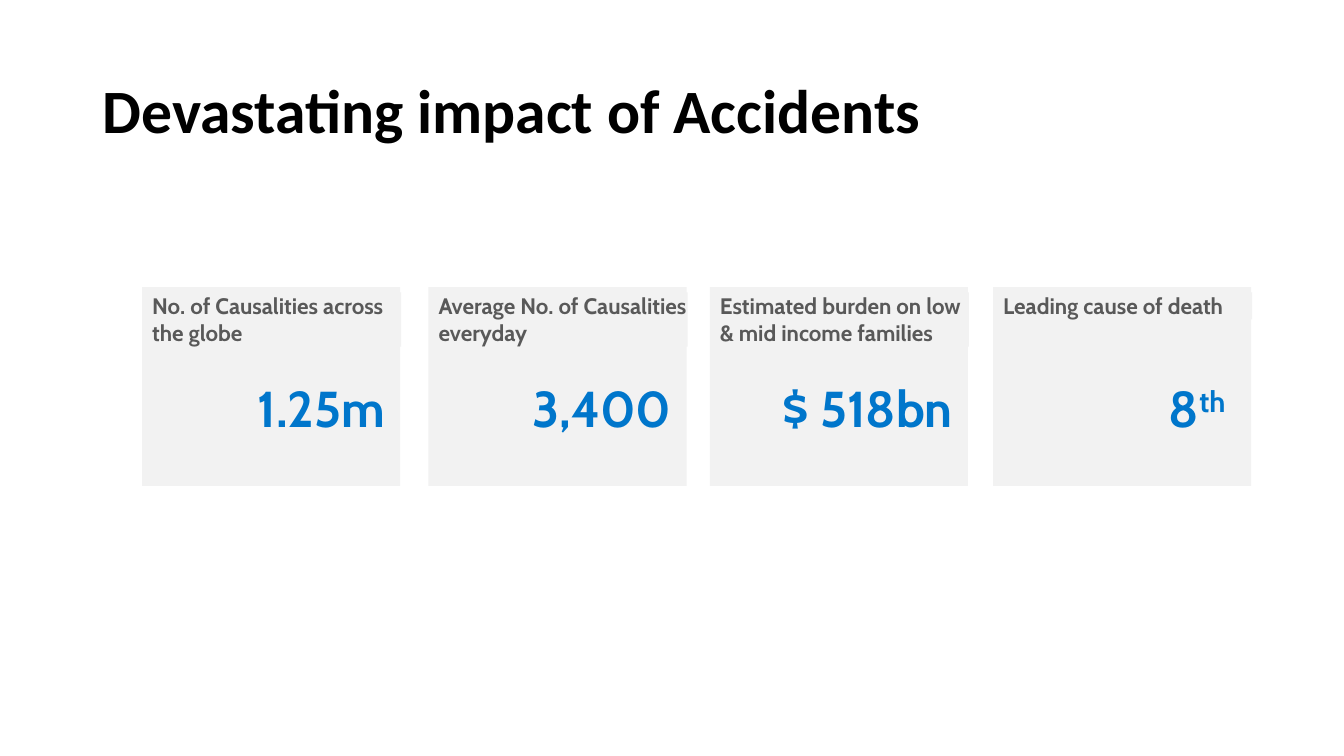
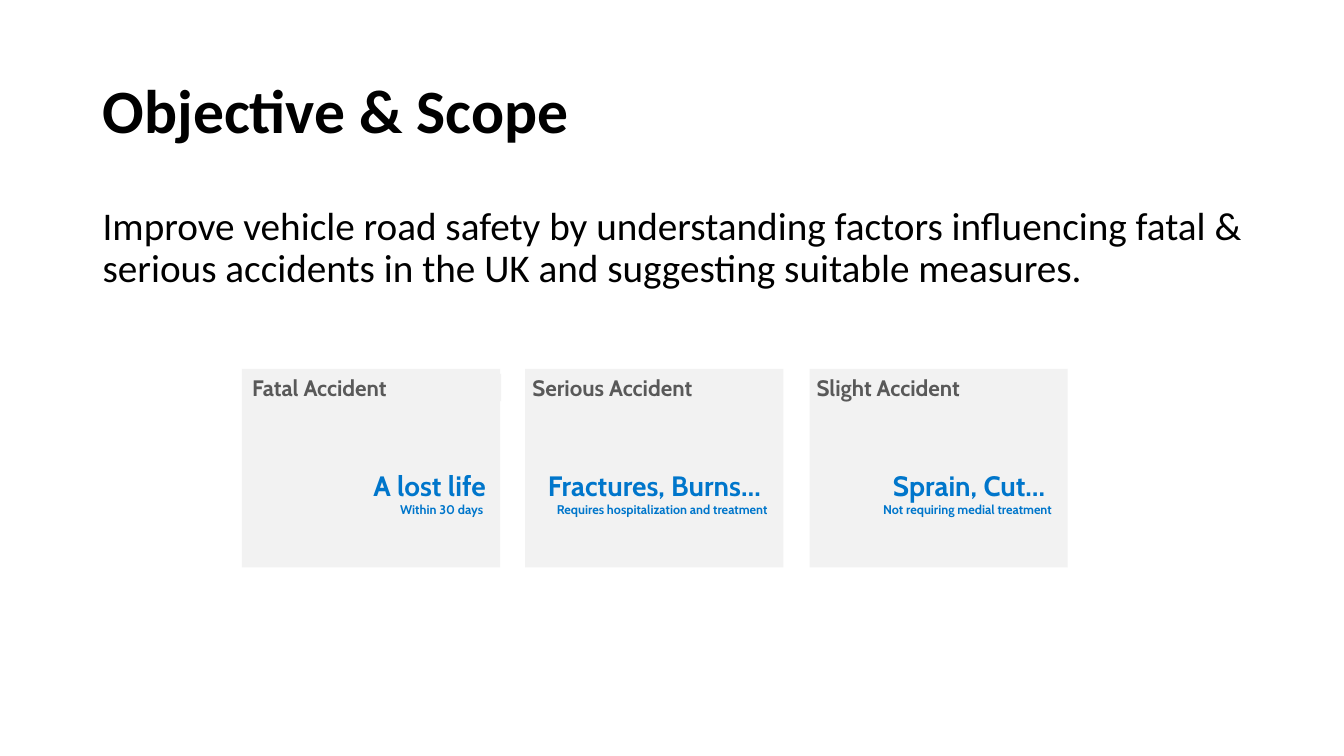
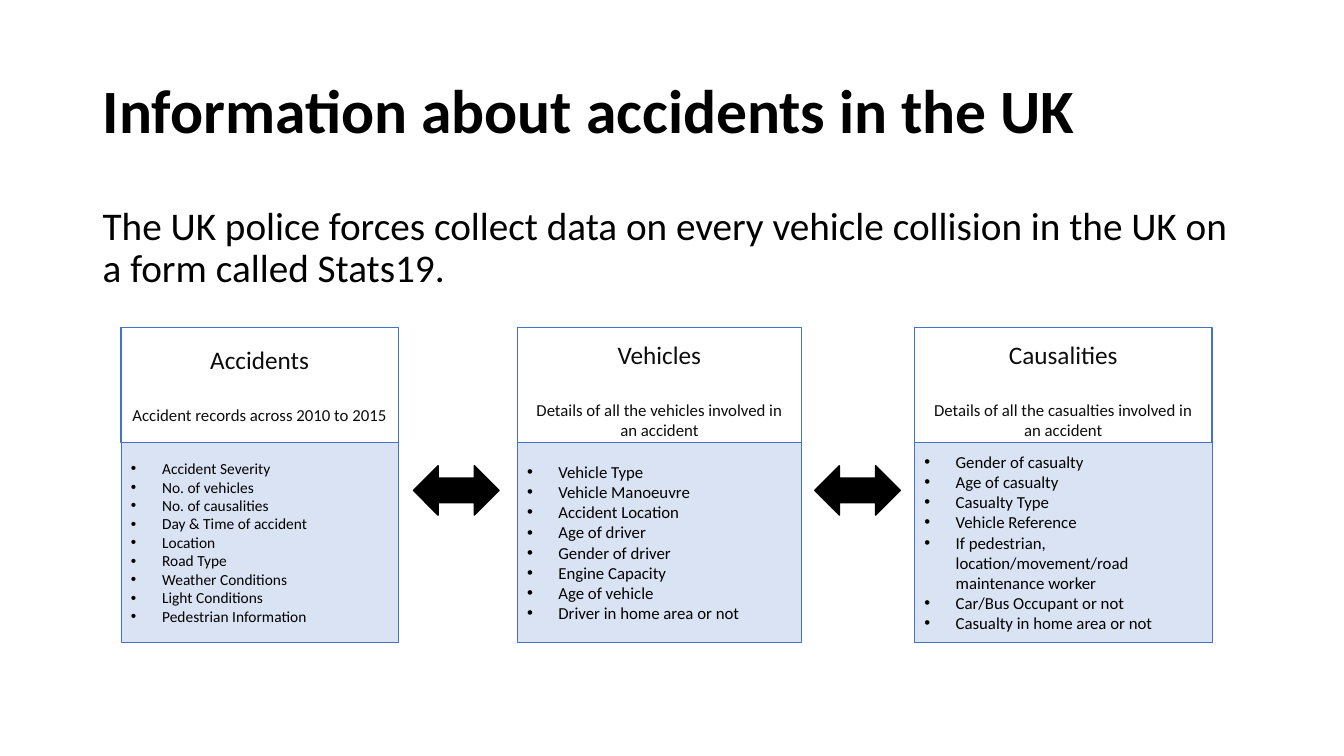
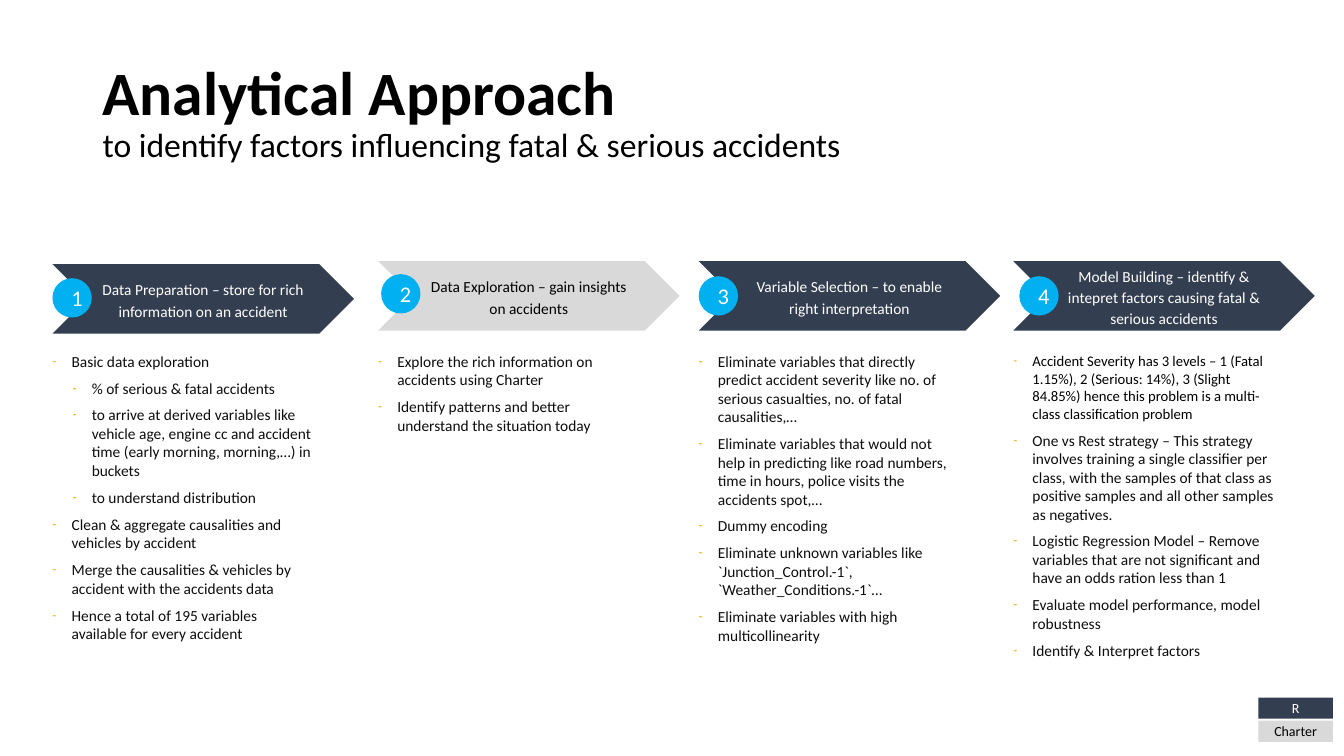
from dataclasses import dataclass

from lxml import etree
from pptx import Presentation
from pptx import util as u
from pptx.dml.color import RGBColor
from pptx.enum import shapes, text
from pptx.oxml.ns import qn


@dataclass(frozen=True)
class Theme:
    font: str = "Calibri"
    cardfont: str = "Cabin"
    markfont: str = "Arial"
    black: str = "000000"
    white: str = "FFFFFF"
    ink: str = "0D0D0D"
    card: str = "F2F2F2"
    label: str = "595959"
    blue: str = "0076CB"
    edge: str = "4472C4"
    pale: str = "DAE3F3"
    navy: str = "333F50"
    grey: str = "D9D9D9"
    dot: str = "00B0F0"
    gold: str = "F0AB00"
    head: int = 44
    sub: int = 24
    body: int = 28
    value: int = 36
    mid: int = 20
    name: int = 18
    caption: int = 16
    note: int = 12
    small: int = 11
    lead: float = 10.5
    tag: int = 10
    tiny: int = 9


th = Theme()
kind = shapes.MSO_SHAPE
mid = text.MSO_ANCHOR.MIDDLE
left, center, right = text.PP_ALIGN.LEFT, text.PP_ALIGN.CENTER, text.PP_ALIGN.RIGHT


def box(page, at, lines=(), size=th.small, ink=th.black, fill=None, edge=None,
        wide=1, form=kind.RECTANGLE, font=th.font, bold=False, align=left,
        anchor=text.MSO_ANCHOR.TOP, pad=(0, 0), lead=1.0, gap=0):
    at = [u.Inches(n) for n in at]
    if fill:
        shape = page.shapes.add_shape(form, *at)
        shape.shadow.inherit = False
        shape.fill.solid()
        shape.fill.fore_color.rgb = RGBColor.from_string(fill)
        if edge:
            shape.line.color.rgb = RGBColor.from_string(edge)
            shape.line.width = u.Pt(wide)
        else:
            shape.line.fill.background()
    else:
        shape = page.shapes.add_textbox(*at)
    frame = shape.text_frame
    frame.word_wrap = True
    frame.vertical_anchor = anchor
    frame.margin_left = frame.margin_right = u.Inches(pad[0])
    frame.margin_top = frame.margin_bottom = u.Inches(pad[1])
    frame.text = "\n".join(lines)
    for i, par in enumerate(frame.paragraphs):
        par.alignment = align
        par.line_spacing = lead
        if i and gap:
            par.space_before = u.Pt(gap)
        for run in par.runs:
            run.font.name = font
            run.font.size = u.Pt(size)
            run.font.bold = bold
            run.font.color.rgb = RGBColor.from_string(ink)
    return frame


def bullet(par, mark, indent, hang, tint=None):
    props = par._p.get_or_add_pPr()
    props.set("marL", str(u.Inches(indent)))
    props.set("indent", str(-u.Inches(hang)))
    if tint:
        color = etree.SubElement(props, qn("a:buClr"))
        etree.SubElement(color, qn("a:srgbClr")).set("val", tint)
        etree.SubElement(props, qn("a:buSzPct")).set("val", "80000")
    etree.SubElement(props, qn("a:buFont")).set("typeface", th.markfont)
    etree.SubElement(props, qn("a:buChar")).set("char", mark)


deck = Presentation()
deck.slide_width = u.Inches(13.33)
deck.slide_height = u.Inches(7.5)

titles = [
    ("Devastating impact of Accidents", None),
    ("Objective & Scope",
     "Improve vehicle road safety by understanding factors influencing fatal & "
     "serious accidents in the UK and suggesting suitable measures."),
    ("Information about accidents in the UK",
     "The UK police forces collect data on every vehicle collision in the UK on "
     "a form called Stats19."),
    ("Analytical Approach\vto identify factors influencing fatal & serious accidents", None),
]
pages = []
for title, intro in titles:
    page = deck.slides.add_slide(deck.slide_layouts[6])
    pages.append(page)
    head = box(page, (0.92, 0.4, 11.5, 1.45), [title], th.head, bold=True,
               anchor=mid, pad=(0.1, 0.05), lead=0.9)
    for run in head.paragraphs[0].runs[1:]:
        run.font.size = u.Pt(th.sub)
        run.font.bold = False
    if intro:
        box(page, (0.92, 2, 11.5, 1.1), [intro], th.body, pad=(0.1, 0.05), lead=0.9)

impact, scope, data, steps = pages

cards = [
    (impact, 1.41, 2.85, 0.1, 0.1, 0.54, "No. of Causalities across the globe", "1.25m", None),
    (impact, 4.25, 2.85, 0.1, 0.1, 0.54, "Average No. of Causalities everyday", "3,400", None),
    (impact, 7.04, 2.85, 0.1, 0.1, 0.54, "Estimated burden on low & mid income families",
     "$ 518bn", None),
    (impact, 9.85, 2.85, 0.1, 0.1, 0.27, "Leading cause of death", "8", None),
    (scope, 2.4, 3.66, 0.1, 0.11, 0.27, "Fatal Accident", "A lost life", "Within 30 days "),
    (scope, 5.21, 3.66, 0.07, 0.09, 0.27, "Serious Accident", "Fractures, Burns… ",
     "Requires hospitalization and treatment"),
    (scope, 8.03, 3.66, 0.07, 0.09, 0.27, "Slight Accident", "Sprain, Cut… ",
     "Not requiring medial treatment"),
]
for page, x, y, inset, shift, tall, label, value, note in cards:
    box(page, (x, y, 2.56, 1.97), fill=th.card)
    box(page, (x + inset, y + 0.05, 2.47, tall), [label], th.caption, th.label, th.card,
        font=th.cardfont, bold=True)
    if note:
        fact = box(page, (x + shift, y + 0.99, 2.31, 0.49), [value, note], th.mid, th.blue,
                   th.card, font=th.cardfont, bold=True, align=right)
        fact.paragraphs[1].runs[0].font.size = u.Pt(th.tiny)
    else:
        fact = box(page, (x + shift, y + 0.89, 2.31, 0.61), [value], th.value, th.blue,
                   th.card, font=th.cardfont, bold=True, align=right)
    if value == "8":
        fact.margin_right = u.Inches(0.04)
        power = fact.paragraphs[0].add_run()
        power.text = "th "
        power.font.name = th.cardfont
        power.font.size = u.Pt(th.value)
        power.font.bold = True
        power.font.color.rgb = RGBColor.from_string(th.blue)
        power.font._element.set("baseline", "30000")

tables = [
    (1.2, 2.75, 0.17, th.small, "Accidents", "Accident records across 2010 to 2015",
     ["Accident Severity", "No. of vehicles", "No. of causalities",
      "Day & Time of accident", "Location", "Road Type", "Weather Conditions",
      "Light Conditions", "Pedestrian Information"]),
    (5.13, 2.82, 0.12, th.note, "Vehicles",
     "Details of all the vehicles involved in an accident",
     ["Vehicle Type", "Vehicle Manoeuvre", "Accident Location", "Age of driver",
      "Gender of driver", "Engine Capacity", "Age of vehicle",
      "Driver in home area or not"]),
    (9.07, 2.95, 0.12, th.note, "Causalities",
     "Details of all the casualties involved in an accident",
     ["Gender of casualty", "Age of casualty", "Casualty Type", "Vehicle Reference",
      "If pedestrian, location/movement/road maintenance worker",
      "Car/Bus Occupant or not", "Casualty in home area or not"]),
]
for x, width, top, size, name, note, fields in tables:
    head = box(data, (x, 3.25, width, 1.14), [name, note], th.name, th.ink, th.white,
               th.edge, align=center, pad=(0.1, 0), gap=21)
    head.margin_top = u.Inches(top)
    head.paragraphs[1].runs[0].font.size = u.Pt(th.note)
    items = box(data, (x, 4.39, width, 1.98), fields, size, fill=th.pale, edge=th.edge,
                wide=0.5, anchor=mid, pad=(0.1, 0.05))
    for par in items.paragraphs:
        bullet(par, "•", 0.31, 0.31)
for x in (4.1, 8.08):
    box(data, (x, 4.62, 0.85, 0.49), fill=th.black, edge=th.black,
        form=kind.LEFT_RIGHT_ARROW)

stages = [
    (0.52, 2.62, 0.52, 2.76, th.navy, th.white,
     "Data Preparation – store for rich information on an accident", (1, 2, 3),
     ["Basic data exploration",
      "% of serious & fatal accidents",
      "to arrive at derived variables like vehicle age, engine cc and accident time "
      "(early morning, morning,…) in buckets",
      "to understand distribution",
      "Clean & aggregate causalities and vehicles by accident",
      "Merge the causalities & vehicles by accident with the accidents data",
      "Hence a total of 195 variables available for every accident"]),
    (3.75, 2.59, 3.78, 2.72, th.grey, th.black,
     "Data Exploration – gain insights on accidents", (),
     ["Explore the rich information on accidents using Charter",
      "Identify patterns and better understand the situation today"]),
    (6.93, 2.59, 6.93, 2.74, th.navy, th.white,
     "Variable Selection – to enable right interpretation", (),
     ["Eliminate variables that directly predict accident severity like no. of "
      "serious casualties, no. of fatal causalities,…",
      "Eliminate variables that would not help in predicting like road numbers, "
      "time in hours, police visits the accidents spot,…",
      "Dummy encoding",
      "Eliminate unknown variables like `Junction_Control.-1`, `Weather_Conditions.-1`…",
      "Eliminate variables with high multicollinearity"]),
    (10.05, 2.59, 10.11, 2.74, th.navy, th.white,
     "Model Building – identify & intepret factors causing fatal & serious accidents", (),
     ["Accident Severity has 3 levels – 1 (Fatal 1.15%), 2 (Serious: 14%), 3 (Slight "
      "84.85%) hence this problem is a multi-class classification problem",
      "One vs Rest strategy – This strategy involves training a single classifier per "
      "class, with the samples of that class as positive samples and all other samples "
      "as negatives.",
      "Logistic Regression Model – Remove variables that are not significant and have "
      "an odds ration less than 1",
      "Evaluate model performance, model robustness",
      "Identify & Interpret factors"]),
]
for num, (x, y, cx, cy, fill, ink, name, deep, tasks) in enumerate(stages, 1):
    box(steps, (x, y, 2.99, 0.69), [name], th.small, ink, fill, form=kind.CHEVRON,
        align=center, anchor=mid, pad=(0.13, 0.11), lead=1.15)
    box(steps, (cx, cy, 0.39, 0.39), [str(num)], th.caption, th.white, th.dot,
        form=kind.OVAL, align=center, anchor=mid, pad=(0.13, 0.11))
    items = box(steps, (x, 3.49, 2.59, 3), tasks, th.small, th.ink, gap=6)
    for i, par in enumerate(items.paragraphs):
        bullet(par, "-", 0.39 if i in deep else 0.19, 0.19, th.gold)
items.paragraphs[0].runs[0].font.size = u.Pt(th.lead)
items.paragraphs[0].runs[0].font.color.rgb = RGBColor.from_string(th.black)

for y, tool, fill, ink in ((6.92, "R", th.navy, th.white), (7.15, "Charter", th.grey, th.black)):
    box(steps, (12.48, y, 0.74, 0.21), [tool], th.tag, ink, fill, align=center, anchor=mid)

deck.save("out.pptx")
